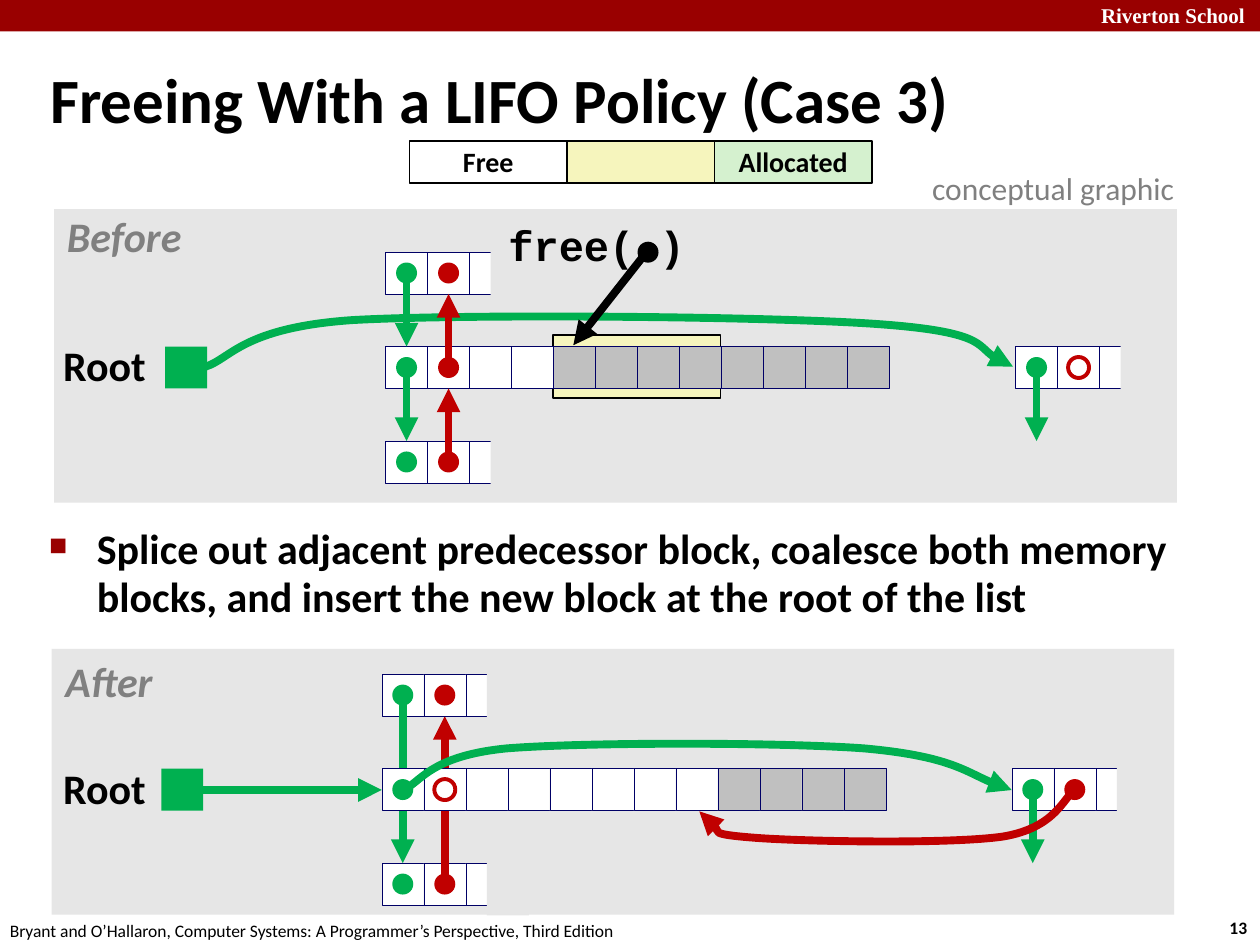
"""Build the slide on freeing a block with a LIFO policy, case 3."""
from lxml.etree import SubElement
from pptx import Presentation
from pptx.dml.color import RGBColor
from pptx.enum.shapes import MSO_CONNECTOR, MSO_SHAPE
from pptx.enum.text import MSO_ANCHOR, PP_ALIGN
from pptx.oxml.ns import qn
from pptx.util import Inches, Pt

BLACK = RGBColor(0, 0, 0)
WHITE = RGBColor(255, 255, 255)
MAROON = RGBColor(0x99, 0, 0)
PANEL = RGBColor(0xE6, 0xE6, 0xE6)
GRAY = RGBColor(0x80, 0x80, 0x80)
USED = RGBColor(0xC0, 0xC0, 0xC0)
NAVY = RGBColor(0, 0, 0x66)
GREEN = RGBColor(0, 0xB0, 0x50)
RED = RGBColor(0xC0, 0, 0)
YELLOW = RGBColor(0xF6, 0xF5, 0xBD)
MINT = RGBColor(0xD5, 0xF1, 0xCF)

CELL = 1 / 3
ROW_GAP = 0.75
DOT = CELL / 2
LIST_COLUMN = 15

BOLD = {"bold": True}
LABEL = {"bold": True, "align": PP_ALIGN.CENTER, "spacing": 0.9, "inset": 0.05, "wrap": False}
SECTION = {**LABEL, "color": GRAY, "italic": True}
PLAIN = {"wrap": False}

TEXTS = [
    ("Riverton School", (8.64, -0.03, 1.43, 0.3), 12,
     {**BOLD, "font": "Times New Roman", "color": WHITE}),
    ("13", (9.66, 7.23, 0.37, 0.27), 10, {**BOLD, "wrap": False}),
    ("Bryant and O’Hallaron, Computer Systems: A Programmer’s Perspective, Third Edition",
     (-0.02, 7.25, 5.08, 0.27), 10, PLAIN),
    ("Freeing With a LIFO Policy (Case 3)", (0.3, 0.39, 9.53, 0.86), 36,
     {**BOLD, "spacing": 0.87, "anchor": MSO_ANCHOR.MIDDLE}),
    ("Splice out adjacent predecessor block, coalesce both memory blocks, "
     "and insert the new block at the root of the list",
     (0.29, 4.13, 9.09, 0.86), 24, {**BOLD, "spacing": 0.95, "bullet": "■"}),
    ("free( )", (3.98, 1.74, 1.51, 0.47), 24, {**LABEL, "font": "Courier New"}),
    ("Root", (0.45, 2.69, 0.76, 0.47), 24, LABEL),
    ("Before", (0.47, 1.67, 1.03, 0.47), 24, SECTION),
    ("Root", (0.45, 6.05, 0.76, 0.47), 24, LABEL),
    ("After", (0.46, 5.2, 0.81, 0.47), 24, SECTION),
    ("conceptual graphic", (7.3, 1.29, 2.17, 0.4), 18, {**PLAIN, "color": GRAY}),
]
LEGEND = [("", 4.43, YELLOW), ("Allocated", 5.67, MINT), ("Free", 3.25, WHITE)]

BEFORE = [
    ("box", (0.43, 1.66, 8.91, 2.33), PANEL),
    ("box", (4.39, 2.66, 1.33, 0.5), YELLOW, BLACK, 0.75),
    ("curve", [(1.63, 2.91), (1.83, 2.85), (1.92, 2.6), (2.8, 2.54), (3.69, 2.49),
               (6.06, 2.51), (6.94, 2.57), (7.81, 2.63), (7.81, 2.84), (8.04, 2.91)], GREEN),
    ("block", 4, 8), ("fragment", 0, -1), ("fragment", 0, 1), ("fragment", LIST_COLUMN, 0),
    ("root",),
    ("link", 0, 0, 1, GREEN), ("link", 0, -1, 0, GREEN),
    ("link", 1, 1, 0, RED), ("link", 1, 0, -1, RED), ("link", LIST_COLUMN, 0, 1, GREEN),
    ("dot", 0, 1, GREEN), ("dot", 0, 0, GREEN), ("dot", 0, -1, GREEN),
    ("dot", 1, 1, RED), ("dot", 1, 0, RED), ("dot", 1, -1, RED),
    ("dot", LIST_COLUMN, 0, GREEN), ("ring", LIST_COLUMN + 1, 0),
    ("dot", 5.75, -1.22, BLACK),
    ("arrow", (5.14, 1.99), (4.55, 2.74), BLACK),
]
AFTER = [
    ("box", (0.41, 5.15, 8.91, 2.11), PANEL),
    ("fragment", 0, 1), ("link", 1, 1, -1, RED),
    ("fragment", 0, -1), ("link", 0, -1, 1, GREEN),
    ("block", 8, 4), ("root",), ("fragment", LIST_COLUMN, 0),
    ("link", LIST_COLUMN, 0, 1, GREEN),
    ("dot", 0, 1, GREEN), ("dot", 0, 0, GREEN), ("dot", 0, -1, GREEN),
    ("dot", 1, 1, RED), ("ring", 1, 0), ("dot", 1, -1, RED),
    ("dot", LIST_COLUMN, 0, GREEN), ("dot", LIST_COLUMN + 1, 0, RED),
    ("arrow", (1.53, 6.27), (3.03, 6.27), GREEN),
    ("curve", [(3.2, 6.27), (3.34, 6.21), (3.41, 6), (4.02, 5.94), (4.63, 5.89),
               (6.19, 5.89), (6.86, 5.94), (7.53, 6), (7.79, 6.2), (8.03, 6.27)], GREEN),
    ("curve", [(8.53, 6.27), (8.44, 6.33), (8.38, 6.57), (7.96, 6.64), (7.54, 6.7),
               (6.4, 6.68), (6, 6.65), (5.6, 6.62), (5.64, 6.49), (5.55, 6.44)], RED),
]


def add_box(slide, place, fill, line=None, width=0.25, kind=MSO_SHAPE.RECTANGLE):
    shape = slide.shapes.add_shape(kind, *map(Inches, place))
    shape.shadow.inherit = False
    if fill is None:
        shape.fill.background()
    else:
        shape.fill.solid()
        shape.fill.fore_color.rgb = fill
    if line is None:
        shape.line.fill.background()
    else:
        shape.line.color.rgb = line
        shape.line.width = Pt(width)
    return shape


def write_text(shape, text, size, font="Calibri", color=BLACK, bold=False, italic=False,
               align=PP_ALIGN.LEFT, spacing=1.0, anchor=MSO_ANCHOR.TOP, inset=None,
               wrap=True, bullet=None):
    frame = shape.text_frame
    frame.word_wrap = wrap
    frame.vertical_anchor = anchor
    if inset is not None:
        frame.margin_left = frame.margin_right = Inches(inset)
        frame.margin_top = frame.margin_bottom = Inches(inset)
    paragraph = frame.paragraphs[0]
    paragraph.text = text
    paragraph.alignment = align
    paragraph.line_spacing = spacing
    if bullet:
        paragraph.space_before = Pt(5)
        properties = paragraph._p.get_or_add_pPr()
        properties.set("marL", str(Inches(0.38)))
        properties.set("indent", str(Inches(-0.38)))
        bullet_color = SubElement(properties, qn("a:buClr"))
        SubElement(bullet_color, qn("a:srgbClr"), val=str(MAROON))
        SubElement(properties, qn("a:buSzPct"), val="60000")
        SubElement(properties, qn("a:buChar"), char=bullet)
    paragraph.font.name = font
    paragraph.font.size = Pt(size)
    paragraph.font.bold = bold
    paragraph.font.italic = italic
    paragraph.font.color.rgb = color


def style_arrow(shape, color):
    shape.line.color.rgb = color
    shape.line.width = Pt(4.5)
    properties = shape._element.spPr
    SubElement(properties.find(qn("a:ln")), qn("a:tailEnd"), type="triangle")
    if properties.find(qn("a:effectLst")) is None:
        SubElement(properties, qn("a:effectLst"))


def add_arrow(slide, start, end, color):
    connector = slide.shapes.add_connector(
        MSO_CONNECTOR.STRAIGHT, *map(Inches, (*start, *end)))
    style_arrow(connector, color)


def add_curve(slide, controls, color):
    start, *points = [tuple(map(Inches, point)) for point in controls]
    builder = slide.shapes.build_freeform(*start)
    builder.add_line_segments(points, close=False)
    shape = builder.convert_to_shape()
    segments = list(shape._element.iter(qn("a:lnTo")))
    outline = segments[0].getparent()
    for first in range(0, len(segments), 3):
        bezier = SubElement(outline, qn("a:cubicBezTo"))
        for segment in segments[first:first + 3]:
            bezier.append(segment[0])
            outline.remove(segment)
    shape.shadow.inherit = False
    shape.fill.background()
    style_arrow(shape, color)


def draw_diagram(slide, left, top, parts):
    def corner(column, row):
        return left + column * CELL, top + row * ROW_GAP

    def cell(column, row, fill):
        add_box(slide, (*corner(column, row), CELL, CELL), fill, NAVY)

    def block(free, used):
        for column in range(free + used):
            cell(column, 0, WHITE if column < free else USED)

    def fragment(column, row):
        for offset in range(3):
            cell(column + offset, row, WHITE)
        x, y = corner(column + 2.5, row)
        add_box(slide, (x, y - CELL / 4, CELL, CELL * 1.5), PANEL)

    def dot(column, row, fill, line=None):
        x, y = corner(column + 0.25, row)
        add_box(slide, (x, y + CELL / 4, DOT, DOT), fill, line, 2.25, MSO_SHAPE.OVAL)

    def link(column, start_row, end_row, color):
        x, start = corner(column + 0.5, start_row)
        end = corner(column, end_row)[1] + (CELL if end_row < start_row else 0)
        add_arrow(slide, (x, start + CELL / 2), (x, end), color)

    draw = {
        "box": lambda *values: add_box(slide, *values),
        "curve": lambda *values: add_curve(slide, *values),
        "arrow": lambda *values: add_arrow(slide, *values),
        "root": lambda: add_box(slide, (left - 1.75, top, CELL, CELL), GREEN),
        "ring": lambda column, row: dot(column, row, None, RED),
        "block": block, "fragment": fragment, "dot": dot, "link": link,
    }
    for kind, *values in parts:
        draw[kind](*values)


def main():
    presentation = Presentation()
    presentation.slide_width, presentation.slide_height = Inches(10), Inches(7.5)
    slide = presentation.slides.add_slide(presentation.slide_layouts[6])
    add_box(slide, (0, 0, 10, 0.25), MAROON)
    draw_diagram(slide, 3.06, 2.75, BEFORE)
    draw_diagram(slide, 3.03, 6.1, AFTER)
    for text, place, size, style in TEXTS:
        write_text(slide.shapes.add_textbox(*map(Inches, place)), text, size, **style)
    for text, left, fill in LEGEND:
        shape = add_box(slide, (left, 1.12, 1.25, CELL), fill, BLACK, 1)
        if text:
            write_text(shape, text, 16, bold=True, align=PP_ALIGN.CENTER, spacing=0.98,
                       anchor=MSO_ANCHOR.MIDDLE, wrap=False)
    presentation.save("out.pptx")


if __name__ == "__main__":
    main()
